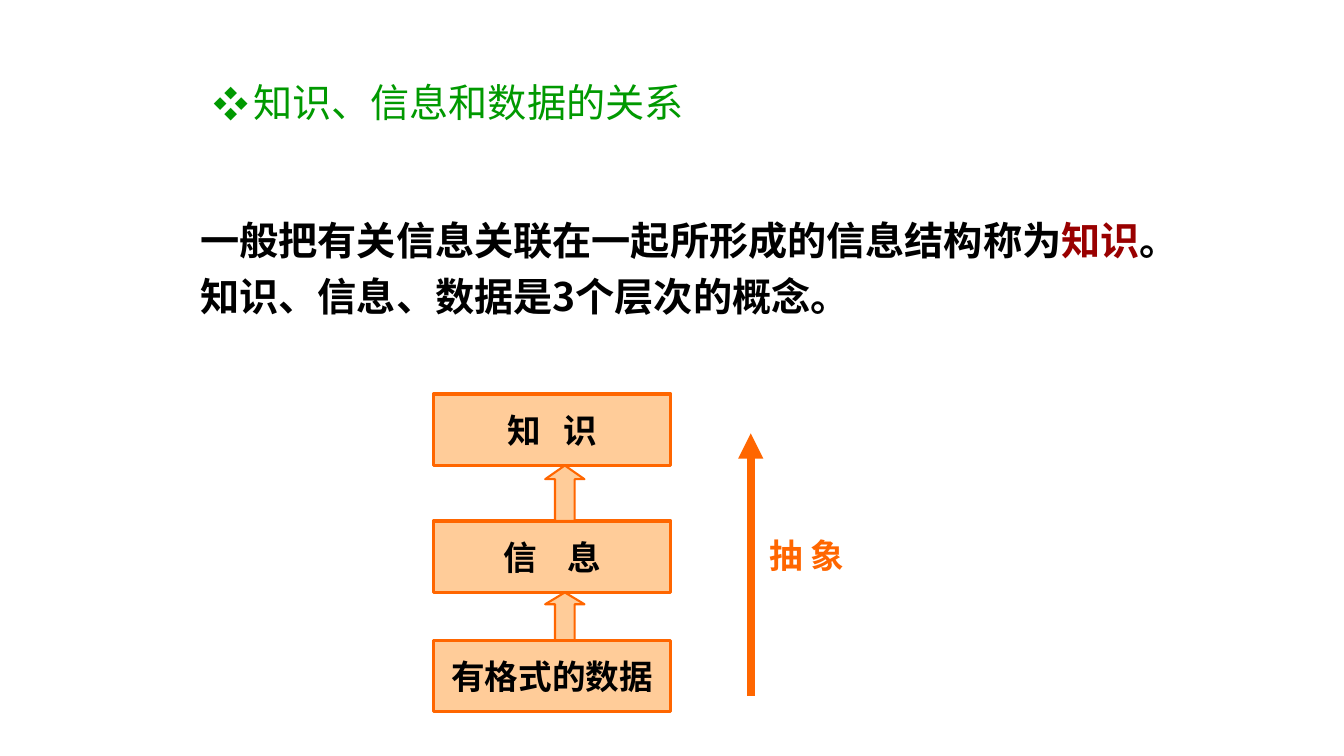
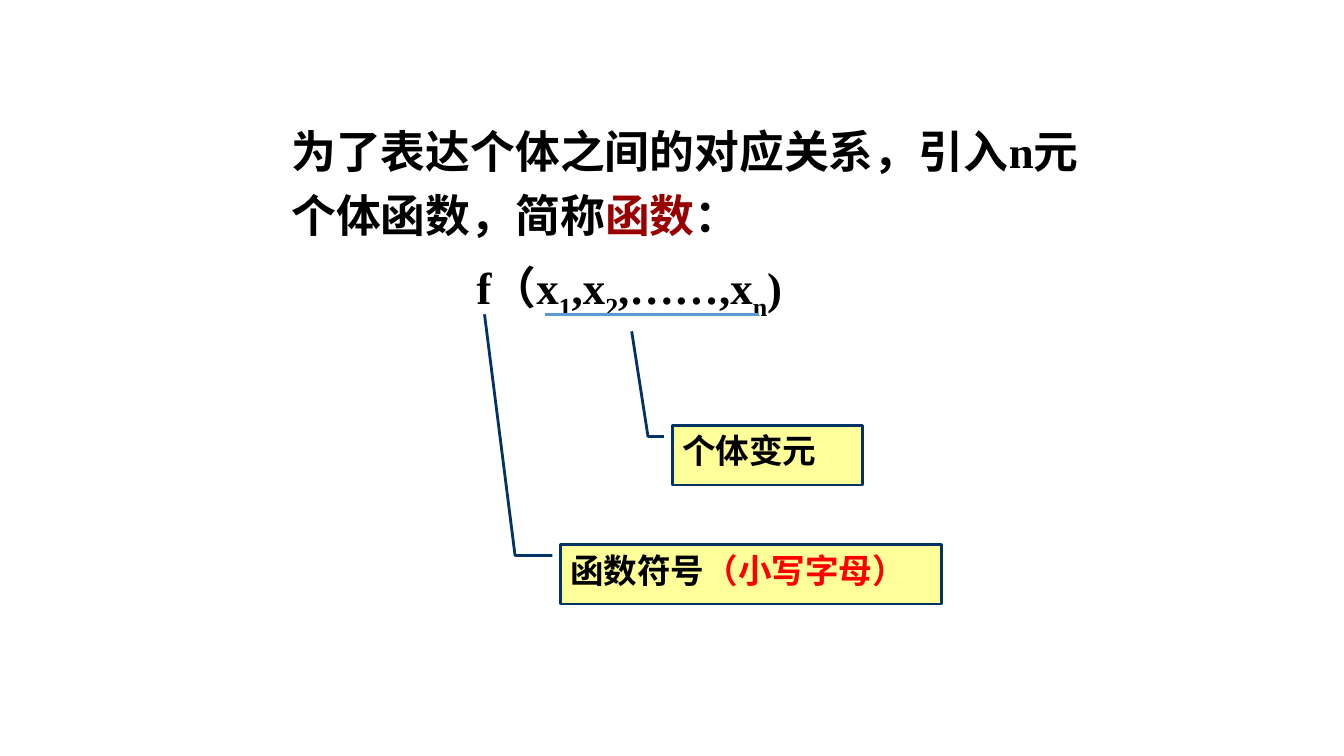
from itertools import pairwise

from lxml.etree import SubElement
from pptx import Presentation
from pptx.dml.color import RGBColor
from pptx.enum.shapes import MSO_CONNECTOR as Connector, MSO_SHAPE as Shape
from pptx.enum.text import MSO_ANCHOR as Anchor, PP_ALIGN as Align
from pptx.oxml.ns import qn
from pptx.util import Cm, Pt

COLORS = {
    "green": "009900", "black": "000000", "dark red": "990000", "red": "FF0000",
    "orange": "FF6600", "peach": "FFCC99", "navy": "003366", "yellow": "FFFF99",
    "blue": "5B9BD5",
}
SANS, SERIF = "Noto Sans CJK SC", "Times New Roman"

# A run is (text, format); formats only name what differs from the box style.
RED_TERM = {"color": "dark red"}
SUB = {"baseline": -25000}

HEADING = [[("知识、信息和数据的关系", {})]]
STATEMENT = [
    [("一般把有关信息关联在一起所形成的信息结构称为", {}), ("知识", RED_TERM), ("。", {})],
    [("知识、信息、数据是3个层次的概念。", {})],
]
LEVELS = [  # top, runs; from concrete to abstract
    (16.13, [("有格式的数据", {})]),
    (13.13, [("信", {}), (" ", {"spc": 1600}), ("息", {})]),
    (9.93, [("知", {}), (" ", {"spc": 1100}), ("识", {})]),
]
ARROW_HEADS = [0.3, 0.35]
ABSTRACTION = [[("抽 象", {})]]

DEFINITION = [[("为了表达个体之间的对应关系，引入n元个体函数，简称", {}),
               ("函数", RED_TERM), ("：", {})]]
FORMULA = [[("f（x", {}), ("1", SUB), (",x", {}), ("2", SUB),
            (",……,x", {}), ("n", SUB), (")", {})]]
CALLOUTS = [  # box, leader points from the box outwards, runs
    ((14.12, 13.72, 9.6, 1.5), [(13.92, 14), (12.98, 14), (12.21, 7.92)],
     [("函数符号", {}), ("（小写字母）", {"color": "red"})]),
    ((16.94, 10.72, 4.8, 1.5), [(16.73, 11), (16.33, 11), (15.92, 8.35)],
     [("个体变元", {})]),
]

LEVEL_LEFT, LEVEL_WIDTH, LEVEL_HEIGHT = 10.92, 5.99, 1.8
ARROW_LEFT, ARROW_WIDTH = 13.74, 0.99


def rgb(name):
    return RGBColor.from_string(COLORS[name])


def write(shape, paragraphs, size=24, color="black", font=SANS, bold=True,
          align=Align.LEFT, anchor=Anchor.TOP, wrap=True, spacing=1.0, bullet=None):
    frame = shape.text_frame
    frame.word_wrap, frame.vertical_anchor = wrap, anchor
    for index, runs in enumerate(paragraphs):
        paragraph = frame.add_paragraph() if index else frame.paragraphs[0]
        paragraph.alignment, paragraph.line_spacing = align, spacing
        if bullet:
            properties = paragraph._p.get_or_add_pPr()
            properties.set("marL", str(Cm(1)))
            properties.set("indent", str(-Cm(1)))
            SubElement(properties, qn("a:buSzPct"), val="90000")
            SubElement(properties, qn("a:buFont"), typeface=SANS)
            SubElement(properties, qn("a:buChar"), char=bullet)
        for text, changes in runs:
            run = paragraph.add_run()
            run.text = text
            for key, value in {"size": Pt(size), "name": font, "bold": bold}.items():
                setattr(run.font, key, value)
            run.font.color.rgb = rgb(changes.get("color", color))
            properties = run._r.get_or_add_rPr()
            SubElement(properties, qn("a:ea"), typeface=SANS)
            for key in changes.keys() & {"baseline", "spc"}:
                properties.set(key, str(changes[key]))


def add_text(slide, box, paragraphs, **style):
    write(slide.shapes.add_textbox(*map(Cm, box)), paragraphs, **style)


def add_filled(slide, kind, box, fill, line, width, adjustments=()):
    shape = slide.shapes.add_shape(kind, *map(Cm, box))
    shape.shadow.inherit = False
    shape.fill.solid()
    shape.fill.fore_color.rgb = rgb(fill)
    shape.line.color.rgb = rgb(line)
    shape.line.width = Pt(width)
    for index, value in enumerate(adjustments):
        shape.adjustments[index] = value
    return shape


def add_line(slide, points, color, width, arrow=False):
    line = slide.shapes.add_connector(Connector.STRAIGHT, *map(Cm, points))
    line.line.color.rgb = rgb(color)
    line.line.width = Pt(width)
    if arrow:
        SubElement(line.line._get_or_add_ln(), qn("a:tailEnd"), type="triangle")
    SubElement(line._element.spPr, qn("a:effectLst"))


def leader_adjustments(box, points):
    """Express leader points as fractions of the callout box, y before x."""
    left, top, width, height = box
    return [part for x, y in points
            for part in ((y - top) / height, (x - left) / width)]


def build_relation(slide):
    add_text(slide, (5.13, 1.73, 22.86, 1.8), HEADING, size=28, color="green",
             bold=False, anchor=Anchor.MIDDLE, spacing=0.9, bullet="❖")
    add_text(slide, (4.8, 5.08, 26.75, 4), STATEMENT, size=28, spacing=1.2)
    for top, runs in LEVELS:
        level = add_filled(slide, Shape.RECTANGLE,
                           (LEVEL_LEFT, top, LEVEL_WIDTH, LEVEL_HEIGHT),
                           "peach", "orange", 2.25)
        write(level, [runs], align=Align.CENTER, anchor=Anchor.MIDDLE, wrap=False)
    for ((lower, _), (upper, _)), head in zip(pairwise(LEVELS), ARROW_HEADS):
        top = upper + LEVEL_HEIGHT
        add_filled(slide, Shape.UP_ARROW, (ARROW_LEFT, top, ARROW_WIDTH, lower - top),
                   "peach", "orange", 1.5, (0.5, head))
    add_line(slide, (18.92, 17.53, 18.92, 10.92), "orange", 6, arrow=True)
    add_text(slide, (19.08, 13.36, 2.51, 1.27), ABSTRACTION, color="orange",
             align=Align.CENTER, wrap=False)


def build_function(slide):
    style = {"size": 32, "font": SERIF, "spacing": 1.2}
    add_text(slide, (10.74, 6.12, 10.24, 2.16), FORMULA, align=Align.CENTER, **style)
    add_text(slide, (7.09, 2.72, 20.35, 3.81), DEFINITION, **style)
    for box, points, runs in CALLOUTS:
        callout = add_filled(slide, Shape.LINE_CALLOUT_2, box, "yellow", "navy", 2,
                             leader_adjustments(box, points))
        write(callout, [runs])
    add_line(slide, (13.74, 7.92, 19.13, 7.92), "blue", 2.25)


def main():
    deck = Presentation()
    deck.slide_width, deck.slide_height = Cm(33.87), Cm(19.05)
    for build in (build_relation, build_function):
        build(deck.slides.add_slide(deck.slide_layouts[6]))
    deck.save("out.pptx")


if __name__ == "__main__":
    main()
